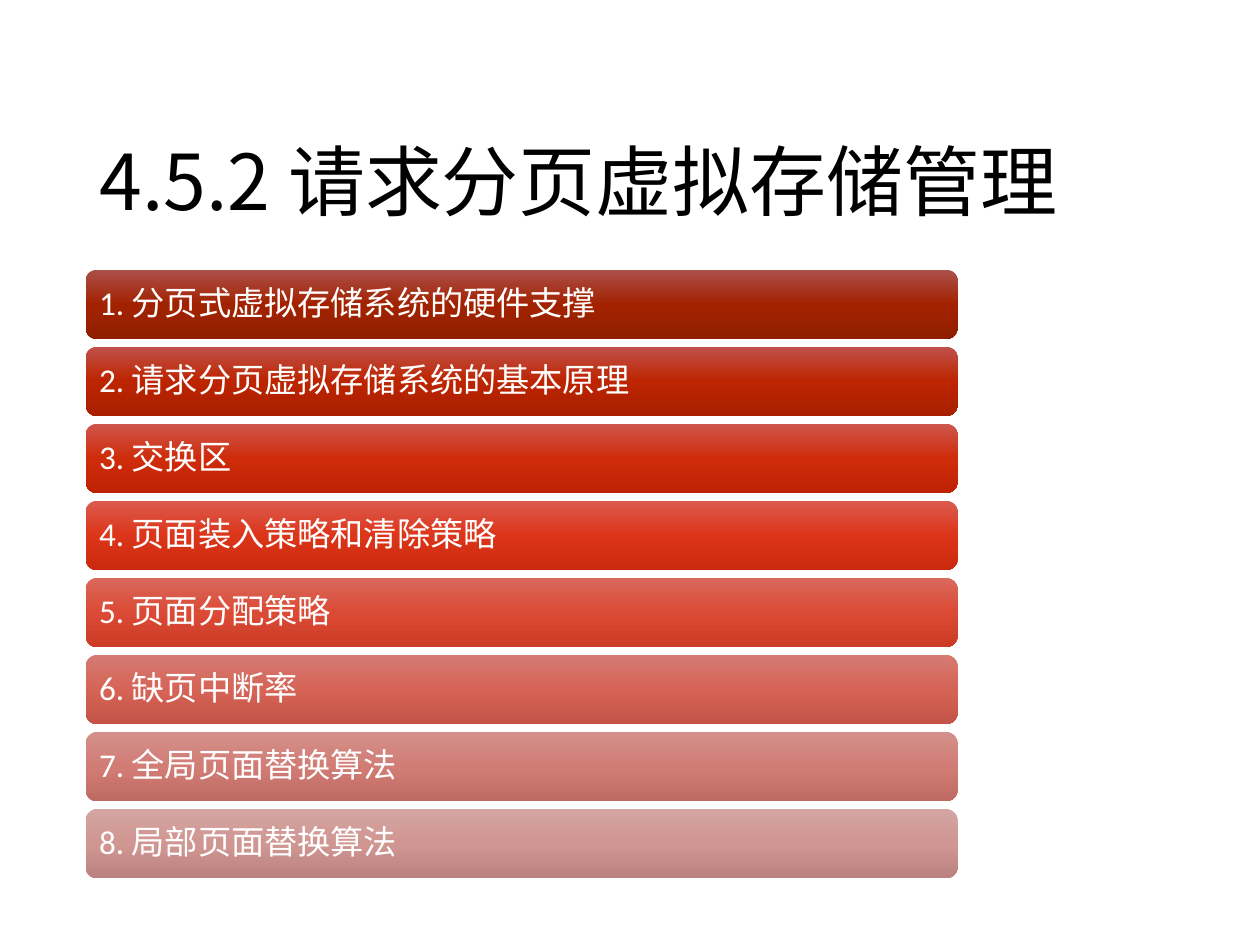
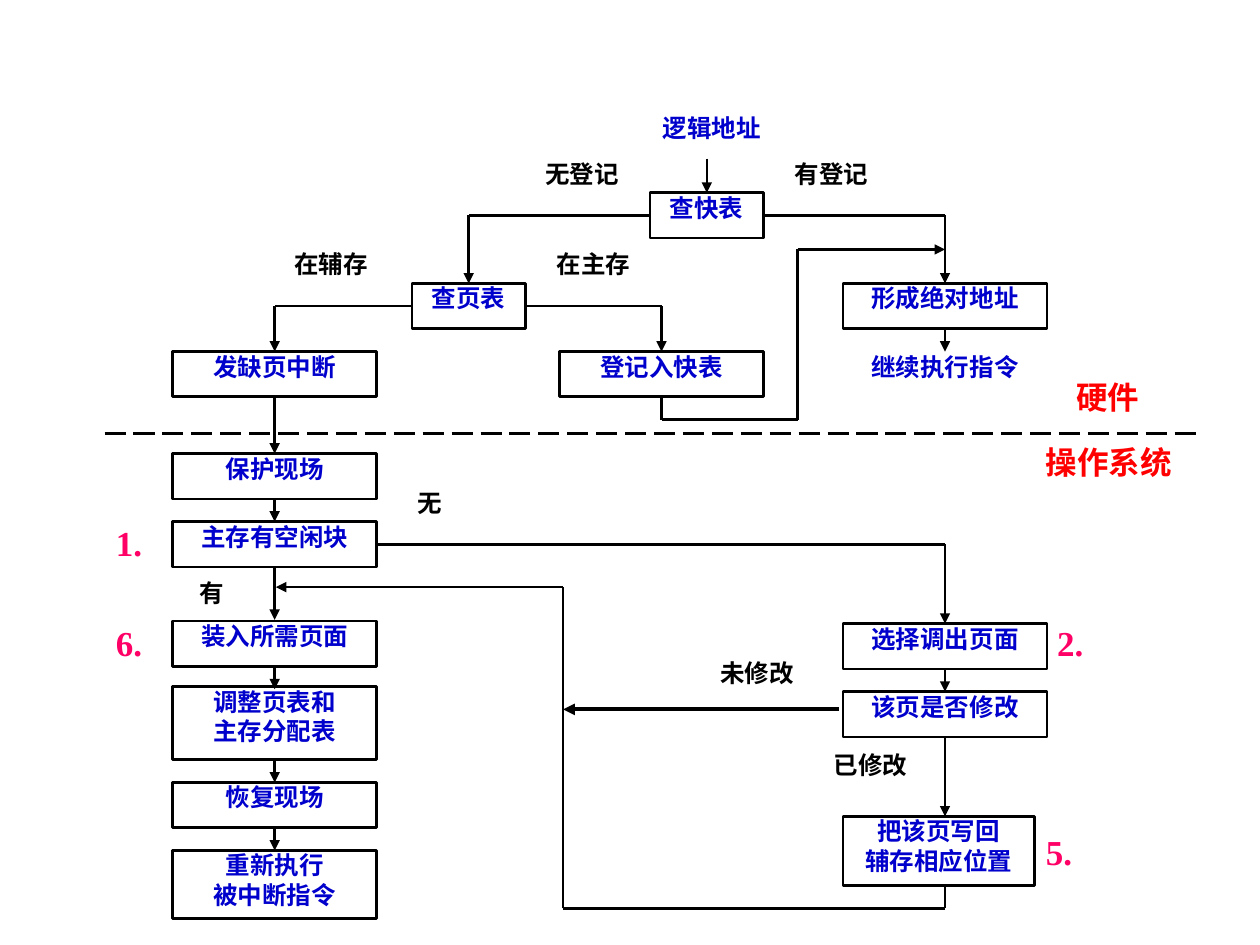
from copy import deepcopy
from dataclasses import dataclass
from pptx import Presentation
from pptx.dml.color import RGBColor
from pptx.enum.dml import MSO_LINE
from pptx.enum.shapes import MSO_CONNECTOR, MSO_SHAPE
from pptx.enum.text import MSO_ANCHOR, MSO_AUTO_SIZE, PP_ALIGN
from pptx.oxml.ns import qn
from pptx.util import Inches, Pt
from lxml.etree import SubElement


@dataclass(frozen=True)
class Theme:
    """Hold the colours, fonts and type sizes of the deck."""
    black: str = "000000"
    white: str = "FFFFFF"
    blue: str = "0000CC"
    red: str = "FF0000"
    pink: str = "FF0066"
    hans: str = "Noto Sans CJK SC"
    sans: str = "Calibri"
    serif: str = "Times New Roman"
    title: int = 44
    item: int = 19
    step: int = 14
    zone: int = 18
    mark: int = 20
    thin: float = 1.5
    thick: float = 2.25
    lead: float = 0.9


THEME = Theme()

TOPICS = [
    ("分页式虚拟存储系统的硬件支撑", ("AC504B", "A22200", "901F00")),
    ("请求分页虚拟存储系统的基本原理", ("C0524B", "BD2400", "A82000")),
    ("交换区", ("CF564C", "CE2C0B", "BF2202")),
    ("页面装入策略和清除策略", ("DC5B4F", "DC3519", "CB2A0E")),
    ("页面分配策略", ("D9695D", "DB4A35", "CB3B26")),
    ("缺页中断率", ("D57B72", "D56457", "C45447")),
    ("全局页面替换算法", ("D3908A", "D17D76", "BF6B64")),
    ("局部页面替换算法", ("D4A5A2", "D09692", "BC827F")),
]
FIRST, LAST = 2.14, 6.42
PITCH = (LAST - FIRST) / (len(TOPICS) - 1)

LEFT, MID, RIGHT = 2.18, 5.25, 7.5
LOOP, TURN, FAST, PAGE = 4.47, 6.33, 5.61, 3.72
WIDE, SLIM, TALL = 1.62, 0.9, 0.36

STEPS = [
    ("查快表", FAST, 1.53, SLIM, TALL),
    ("查页表", PAGE, 2.25, SLIM, TALL),
    ("登记入快表", MID, 2.79, WIDE, TALL),
    ("形成绝对地址", RIGHT, 2.25, WIDE, TALL),
    ("发缺页中断", LEFT, 2.79, WIDE, TALL),
    ("保护现场", LEFT, 3.6, WIDE, TALL),
    ("主存有空闲块", LEFT, 4.14, WIDE, TALL),
    ("装入所需页面", LEFT, 4.93, WIDE, TALL),
    ("调整页表和\n主存分配表", LEFT, 5.45, WIDE, 0.58),
    ("恢复现场", LEFT, 6.21, WIDE, TALL),
    ("重新执行\n被中断指令", LEFT, 6.75, WIDE, 0.54),
    ("选择调出页面", RIGHT, 4.95, WIDE, TALL),
    ("该页是否修改", RIGHT, 5.49, WIDE, TALL),
    ("把该页写回\n辅存相应位置", 7.45, 6.48, 1.52, 0.55),
]
ENDS = [("逻辑地址", 5.65, 0.9, 1.17), ("继续执行指令", RIGHT, 2.79, WIDE)]
CASES = [
    ("无登记", 4.62, 1.26, SLIM),
    ("有登记", 6.6, 1.26, SLIM),
    ("在辅存", 2.63, 1.98, SLIM),
    ("在主存", 4.71, 1.98, SLIM),
    ("无", 3.41, 3.87, 0.45),
    ("有", 1.68, 4.59, 0.45, 0.25),
    ("未修改", 6.01, 5.22, 0.81),
    ("已修改", 6.91, 5.95, 0.81),
]
ZONES = [("硬件", 8.79, 3, 0.63), ("操作系统", 8.8, 3.52, 1.17)]
MARKS = [("1.", 0.92, 4.14), ("6.", 0.92, 4.93), ("2.", 8.39, 4.93), ("5.", 8.3, 6.59)]

DROPS = [
    (FAST, 1.26, 1.53), (RIGHT, 2.61, 2.79), (LEFT, 3.15, 3.6),
    (LEFT, 3.96, 4.14), (LEFT, 4.5, 4.92), (LEFT, 5.29, 5.47),
    (LEFT, 6.03, 6.21), (LEFT, 6.57, 6.75), (RIGHT, 5.31, 5.49),
    (RIGHT, 5.85, 6.48),
]
ROUTES = [
    [(6.06, 1.71), (RIGHT, 1.71), (RIGHT, 2.25)],
    [(5.16, 1.71), (PAGE, 1.71), (PAGE, 2.25)],
    [(4.17, 2.43), (MID, 2.43), (MID, 2.79)],
    [(3.27, 2.43), (LEFT, 2.43), (LEFT, 2.79)],
    [(MID, 3.15), (MID, 3.33), (TURN, 3.33), (TURN, 1.98), (RIGHT, 1.98)],
    [(3, 4.32), (RIGHT, 4.32), (RIGHT, 4.95)],
    [(RIGHT, 7.03), (RIGHT, 7.21), (LOOP, 7.21), (LOOP, 4.66), (2.19, 4.66)],
]


def put(thing, **vals):
    """Set each given value on the thing."""
    for name, val in vals.items():
        setattr(thing, name, val)


def hue(code):
    """Turn a hex code into a colour."""
    return RGBColor.from_string(code)


def write(para, text, face, size, tint, bold=False):
    """Add a run in one face, with the Chinese font beside it."""
    run = para.add_run()
    run.text = text
    put(run.font, name=face, size=Pt(size), bold=bold)
    run.font.color.rgb = hue(tint)
    SubElement(run._r.get_or_add_rPr(), qn("a:ea")).set("typeface", THEME.hans)


def inset(frame, edge):
    """Set the four margins of a text frame."""
    size = Inches(edge)
    put(frame, margin_left=size, margin_right=size, margin_top=size, margin_bottom=size)


def shade(shape, tints):
    """Fill a shape from top to bottom with three tints."""
    shape.fill.gradient()
    shape.fill.gradient_angle = 270
    stops = shape._element.spPr.find(qn("a:gradFill")).find(qn("a:gsLst"))
    stops.insert(1, deepcopy(stops[0]))
    for stop, tint, spot in zip(shape.fill.gradient_stops, tints, (0, 0.5, 1)):
        stop.color.rgb = hue(tint)
        stop.position = spot


def head(slide, text):
    """Place and write the slide title."""
    title = slide.shapes.title
    put(title, left=Inches(0.69), top=Inches(0.4), width=Inches(8.62), height=Inches(1.45))
    put(title.text_frame, vertical_anchor=MSO_ANCHOR.BOTTOM,
        auto_size=MSO_AUTO_SIZE.NONE, word_wrap=True)
    para = title.text_frame.paragraphs[0]
    put(para, alignment=PP_ALIGN.LEFT, line_spacing=THEME.lead)
    write(para, text, THEME.hans, THEME.title, THEME.black)


def bar(slide, rank, text, tints):
    """Draw one numbered topic bar."""
    top = FIRST + PITCH * (rank - 1)
    shape = slide.shapes.add_shape(MSO_SHAPE.ROUNDED_RECTANGLE, Inches(0.68), Inches(top),
                                   Inches(6.92), Inches(0.55))
    shape.shadow.inherit = False
    shape.line.fill.background()
    shade(shape, tints)
    frame = shape.text_frame
    put(frame, vertical_anchor=MSO_ANCHOR.MIDDLE, word_wrap=True)
    inset(frame, 0.08)
    para = frame.paragraphs[0]
    put(para, alignment=PP_ALIGN.LEFT, line_spacing=THEME.lead)
    write(para, f"{rank}. {text}", THEME.sans, THEME.item, THEME.white)


def box(slide, text, mid, top, wide, tall=TALL, tint=THEME.blue, size=THEME.step, edge=False):
    """Draw a white box with centred bold lines."""
    shape = slide.shapes.add_shape(MSO_SHAPE.RECTANGLE, Inches(mid - wide / 2), Inches(top),
                                   Inches(wide), Inches(tall))
    shape.shadow.inherit = False
    shape.fill.solid()
    shape.fill.fore_color.rgb = hue(THEME.white)
    if edge:
        shape.line.color.rgb = hue(THEME.black)
        shape.line.width = Pt(THEME.thin)
    else:
        shape.line.fill.background()
    frame = shape.text_frame
    put(frame, vertical_anchor=MSO_ANCHOR.TOP, word_wrap=True)
    inset(frame, 0)
    for spot, part in enumerate(text.split("\n")):
        para = frame.add_paragraph() if spot else frame.paragraphs[0]
        put(para, alignment=PP_ALIGN.CENTER, line_spacing=1.0)
        write(para, part, THEME.hans, size, tint, True)


def tag(slide, text, left, top):
    """Write a step number beside a box."""
    note = slide.shapes.add_textbox(Inches(left), Inches(top), Inches(0.28), Inches(0.34))
    put(note.text_frame, word_wrap=False, auto_size=MSO_AUTO_SIZE.SHAPE_TO_FIT_TEXT)
    inset(note.text_frame, 0)
    write(note.text_frame.paragraphs[0], text, THEME.serif, THEME.mark, THEME.pink, True)


def link(slide, start, end, arrow=False, width=THEME.thin, dash=None):
    """Draw one straight line, with an arrowhead if asked."""
    ends = [Inches(val) for val in (*start, *end)]
    line = slide.shapes.add_connector(MSO_CONNECTOR.STRAIGHT, *ends)
    line.line.color.rgb = hue(THEME.black)
    put(line.line, width=Pt(width), dash_style=dash)
    form = line._element.spPr
    if arrow:
        SubElement(form.find(qn("a:ln")), qn("a:tailEnd")).set("type", "triangle")
    SubElement(form, qn("a:effectLst"))


def route(slide, spots):
    """Join spots by lines that end in an arrow."""
    for start, end in zip(spots, spots[1:]):
        link(slide, start, end, end == spots[-1])


def topics(deck):
    """Build the slide that lists the topics."""
    slide = deck.slides.add_slide(deck.slide_layouts[5])
    head(slide, "4.5.2 请求分页虚拟存储管理")
    for rank, (text, tints) in enumerate(TOPICS, 1):
        bar(slide, rank, text, tints)


def flow(deck):
    """Build the slide that charts address translation."""
    slide = deck.slides.add_slide(deck.slide_layouts[6])
    for item in ENDS:
        box(slide, *item)
    for item in CASES:
        box(slide, *item, tint=THEME.black)
    for item in ZONES:
        box(slide, *item, tint=THEME.red, size=THEME.zone)
    for item in STEPS:
        box(slide, *item, edge=True)
    for mid, top, low in DROPS:
        route(slide, [(mid, top), (mid, low)])
    for spots in ROUTES:
        route(slide, spots)
    link(slide, (6.66, 5.63), (LOOP, 5.63), True, THEME.thick)
    link(slide, (0.83, 3.44), (9.49, 3.44), dash=MSO_LINE.LONG_DASH)
    for item in MARKS:
        tag(slide, *item)


def main():
    """Build and save the deck."""
    deck = Presentation()
    put(deck, slide_width=Inches(10), slide_height=Inches(7.5))
    topics(deck)
    flow(deck)
    deck.save("out.pptx")


if __name__ == "__main__":
    main()
